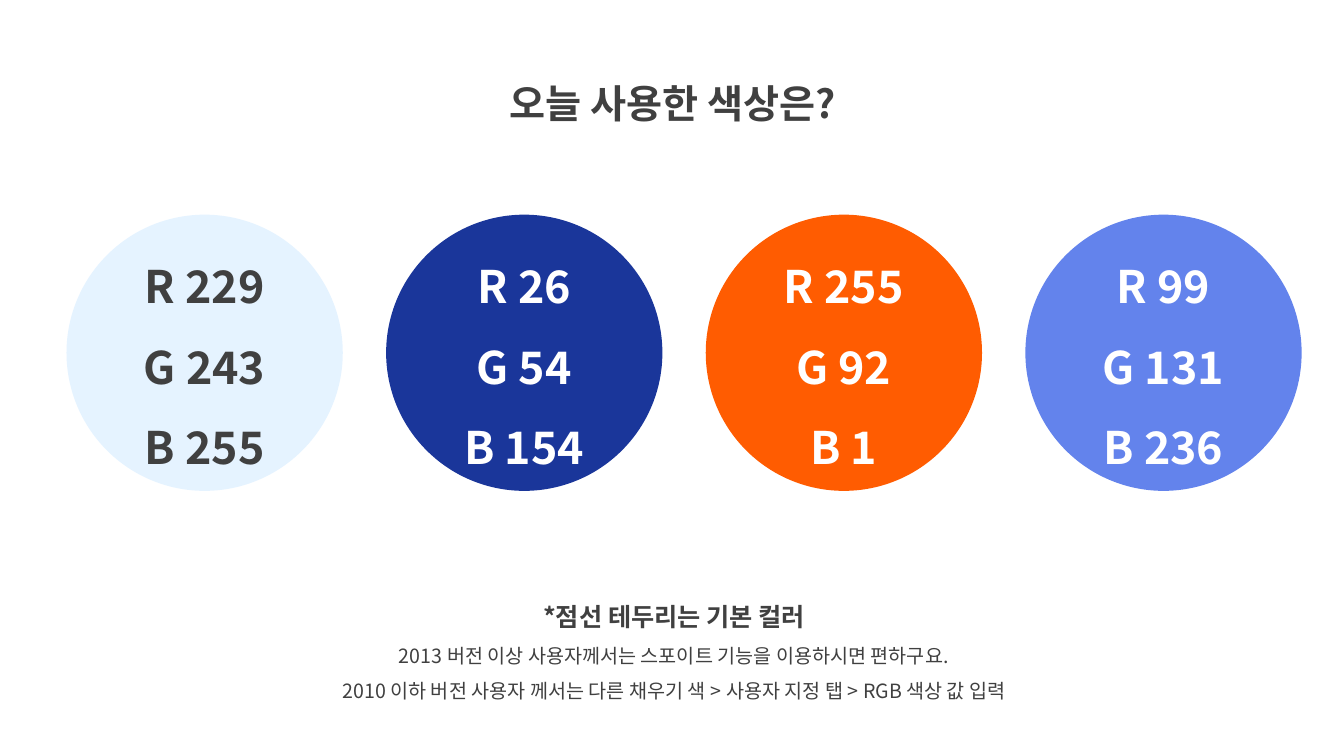
from lxml.etree import SubElement
from pptx import Presentation
from pptx.dml.color import RGBColor
from pptx.enum.shapes import MSO_SHAPE as Shape
from pptx.enum.text import MSO_ANCHOR as Anchor, MSO_AUTO_SIZE as AutoSize, PP_ALIGN as Align
from pptx.oxml.ns import qn
from pptx.util import Emu, Pt

PX = 9144
FONT = "Noto Sans CJK KR"
COLORS = {
    "text": "404040",
    "white": "FFFFFF",
    "pale": "E5F3FF",
    "navy": "1A369A",
    "orange": "FF5C01",
    "blue": "6383EC",
}
CIRCLE_LEFT, CIRCLE_TOP, CIRCLE_SIZE, CIRCLE_STEP = 66, 213, 274, 317


def px(*lengths):
    return [Emu(length * PX) for length in lengths]


def color(name):
    return RGBColor.from_string(COLORS[name])


def write_line(frame, text, *, first=False, size=14, bold=False, ink="text"):
    para = frame.paragraphs[0] if first else frame.add_paragraph()
    para.alignment = Align.CENTER
    para.line_spacing = 1.5
    span = para.add_run()
    span.text = text
    span.font.size = Pt(size)
    span.font.bold = bold
    span.font.color.rgb = color(ink)
    span.font.name = FONT
    SubElement(span.font._element, qn("a:ea"), typeface=FONT)


def add_text_box(page, bounds):
    frame = page.shapes.add_textbox(*px(*bounds)).text_frame
    frame.word_wrap = True
    frame.auto_size = AutoSize.SHAPE_TO_FIT_TEXT
    return frame


def add_swatch(page, index, fill, ink):
    left = CIRCLE_LEFT + index * CIRCLE_STEP
    circle = page.shapes.add_shape(
        Shape.OVAL, *px(left, CIRCLE_TOP, CIRCLE_SIZE, CIRCLE_SIZE)
    )
    circle.shadow.inherit = False
    circle.fill.solid()
    circle.fill.fore_color.rgb = color(fill)
    circle.line.fill.background()
    frame = circle.text_frame
    frame.vertical_anchor = Anchor.MIDDLE
    for channel, value in zip("RGB", color(fill)):
        write_line(frame, f"{channel} {value}", first=channel == "R",
                   size=32, bold=True, ink=ink)


def main():
    deck = Presentation()
    deck.slide_width, deck.slide_height = px(1333, 750)
    page = deck.slides.add_slide(deck.slide_layouts[6])

    title = add_text_box(page, (436, 50, 463, 72))
    write_line(title, "오늘 사용한 색상은?", first=True, size=28, bold=True)

    note = add_text_box(page, (269, 577, 799, 126))
    write_line(note, "*점선 테두리는 기본 컬러", first=True, size=18, bold=True)
    write_line(note, "2013 버전 이상 사용자께서는 스포이트 기능을 이용하시면 편하구요.")
    write_line(note, "2010 이하 버전 사용자 께서는 다른 채우기 색 > 사용자 지정 탭 > RGB 색상 값 입력")

    swatches = [("pale", "text"), ("navy", "white"), ("orange", "white"), ("blue", "white")]
    for index, (fill, ink) in enumerate(swatches):
        add_swatch(page, index, fill, ink)

    deck.save("out.pptx")


if __name__ == "__main__":
    main()
